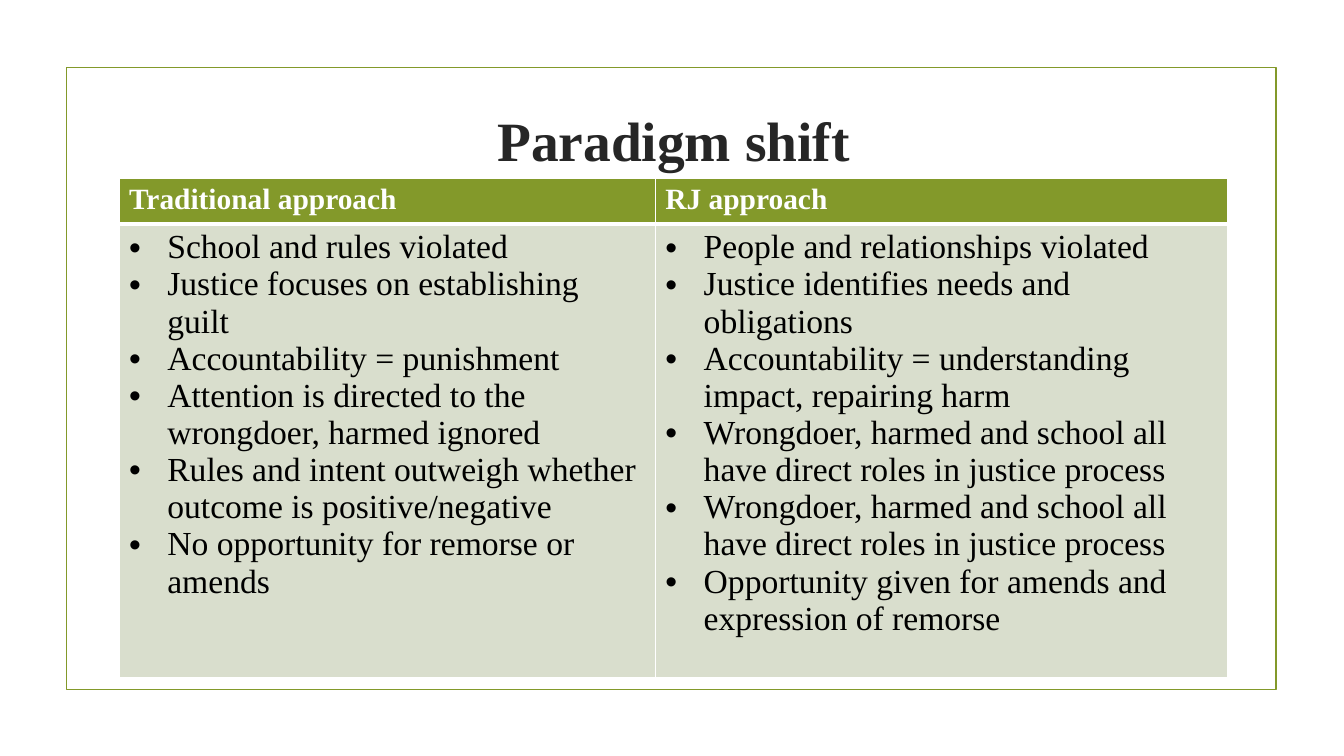
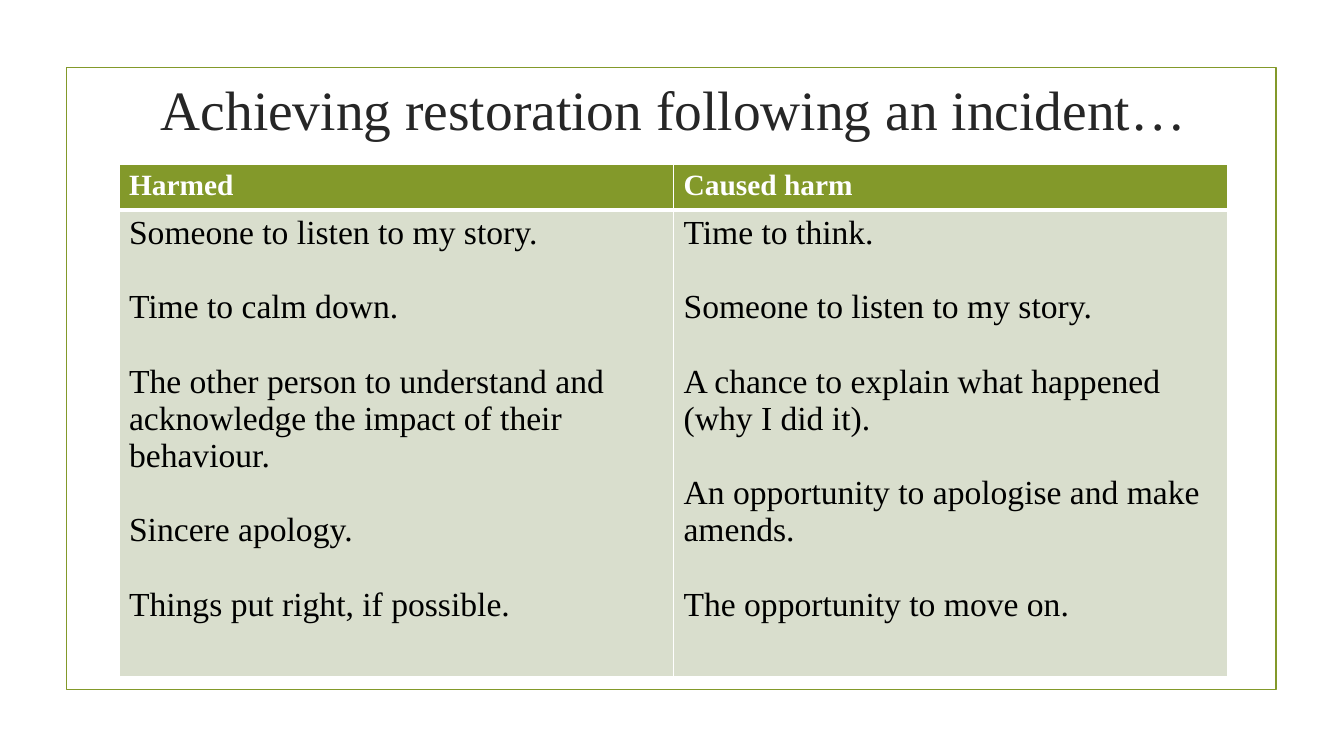
"""Build two comparison slides about restorative practice."""
import pptx
import pptx.util
import pptx.dml.color
import pptx.enum.shapes
import pptx.enum.text
import pptx.oxml.ns
from lxml import etree

Inches, Pt = pptx.util.Inches, pptx.util.Pt
RGBColor = pptx.dml.color.RGBColor
PP_ALIGN, MSO_ANCHOR = pptx.enum.text.PP_ALIGN, pptx.enum.text.MSO_ANCHOR
qn = pptx.oxml.ns.qn

GREEN = RGBColor(0x83, 0x99, 0x2A)
PALE = RGBColor(0xD9, 0xDE, 0xCD)
DARK = RGBColor(0x26, 0x26, 0x26)
WHITE = RGBColor(0xFF, 0xFF, 0xFF)
BLACK = RGBColor(0, 0, 0)
FONT = "Times New Roman"
INDENT = 0.38
TABLE_LEFT = 1.18
LINE_GAP = 26.57

SLIDES = [
    {
        "title": "Paradigm shift", "title_bold": True, "title_top": 1.07, "title_height": 0.63,
        "table_top": 1.77, "cols": (5.32, 5.68), "rows": (0.42, 4.16),
        "bullet": True, "gap": 0,
        "columns": [
            ("Traditional approach", [
                "School and rules violated",
                "Justice focuses on establishing guilt",
                "Accountability = punishment",
                "Attention is directed to the wrongdoer, harmed ignored",
                "Rules and intent outweigh whether outcome is positive/negative",
                "No opportunity for remorse or amends",
            ]),
            ("RJ approach", [
                "People and relationships violated",
                "Justice identifies needs and obligations",
                "Accountability = understanding impact, repairing harm",
                "Wrongdoer, harmed and school all have direct roles in justice process",
                "Wrongdoer, harmed and school all have direct roles in justice process",
                "Opportunity given for amends and expression of remorse",
            ]),
        ],
    },
    {
        "title": "Achieving restoration following an incident…",
        "title_bold": False, "title_top": 0.36, "title_height": 1.43,
        "table_top": 1.63, "cols": (5.5, 5.5), "rows": (0.42, 4.63),
        "bullet": False, "gap": LINE_GAP,
        "columns": [
            ("Harmed", [
                "Someone to listen to my story.",
                "Time to calm down.",
                "The other person to understand and acknowledge the impact of their behaviour.",
                "Sincere apology.",
                "Things put right, if possible.",
            ]),
            ("Caused harm", [
                "Time to think.",
                "Someone to listen to my story.",
                "A chance to explain what happened (why I did it).",
                "An opportunity to apologise and make amends.",
                "The opportunity to move on.",
            ]),
        ],
    },
]


def write(tf, lines, size, color, bold=False, align=PP_ALIGN.LEFT, bullet=False, gap=0):
    tf.word_wrap = True
    for i, line in enumerate(lines):
        p = tf.paragraphs[0] if i == 0 else tf.add_paragraph()
        if bullet:
            pPr = p._p.get_or_add_pPr()
            pPr.set("marL", str(Inches(INDENT)))
            pPr.set("indent", str(-Inches(INDENT)))
            etree.SubElement(pPr, qn("a:buFont"), typeface="Arial")
            etree.SubElement(pPr, qn("a:buChar"), char="•")
        p.alignment = align
        p.space_before = Pt(gap if i else 0)
        r = p.add_run()
        r.text = line
        r.font.name, r.font.size, r.font.bold = FONT, Pt(size), bold
        r.font.color.rgb = color


def style_cell(cell, fill, top, bottom):
    tcPr = cell._tc.get_or_add_tcPr()
    for side, width in (("L", 1), ("R", 1), ("T", top), ("B", bottom)):
        ln = etree.SubElement(tcPr, qn(f"a:ln{side}"), w=str(Pt(width)))
        solid = etree.SubElement(ln, qn("a:solidFill"))
        etree.SubElement(solid, qn("a:srgbClr"), val=str(WHITE))
    cell.fill.solid()
    cell.fill.fore_color.rgb = fill


def add_frame(s):
    sp = s.shapes.add_shape(pptx.enum.shapes.MSO_SHAPE.RECTANGLE,
                            Inches(0.66), Inches(0.67), Inches(12), Inches(6.17))
    sp.shadow.inherit = False
    sp.fill.background()
    sp.line.color.rgb = GREEN
    sp.line.width = Pt(1.25)


def add_title(s, data):
    sp = s.shapes.add_textbox(Inches(1.42), Inches(data["title_top"]),
                              Inches(10.52), Inches(data["title_height"]))
    tf = sp.text_frame
    tf.vertical_anchor = MSO_ANCHOR.MIDDLE
    write(tf, [data["title"]], 39.6, DARK, bold=data["title_bold"], align=PP_ALIGN.CENTER)


def add_comparison(s, data):
    cols, rows = data["cols"], data["rows"]
    table = s.shapes.add_table(len(rows), len(cols), Inches(TABLE_LEFT), Inches(data["table_top"]),
                               Inches(sum(cols)), Inches(sum(rows))).table
    table.horz_banding = False
    for row, height in zip(table.rows, rows):
        row.height = Inches(height)
    for i, (heading, points) in enumerate(data["columns"]):
        table.columns[i].width = Inches(cols[i])
        head, body = table.cell(0, i), table.cell(1, i)
        style_cell(head, GREEN, top=1, bottom=3)
        style_cell(body, PALE, top=3, bottom=1)
        write(head.text_frame, [heading], 21, WHITE, bold=True)
        write(body.text_frame, points, 24, BLACK, bullet=data["bullet"], gap=data["gap"])


def main():
    prs = pptx.Presentation()
    prs.slide_width, prs.slide_height = Inches(13.33), Inches(7.5)
    for data in SLIDES:
        s = prs.slides.add_slide(prs.slide_layouts[6])
        add_frame(s)
        add_title(s, data)
        add_comparison(s, data)
    prs.save("out.pptx")


if __name__ == "__main__":
    main()
